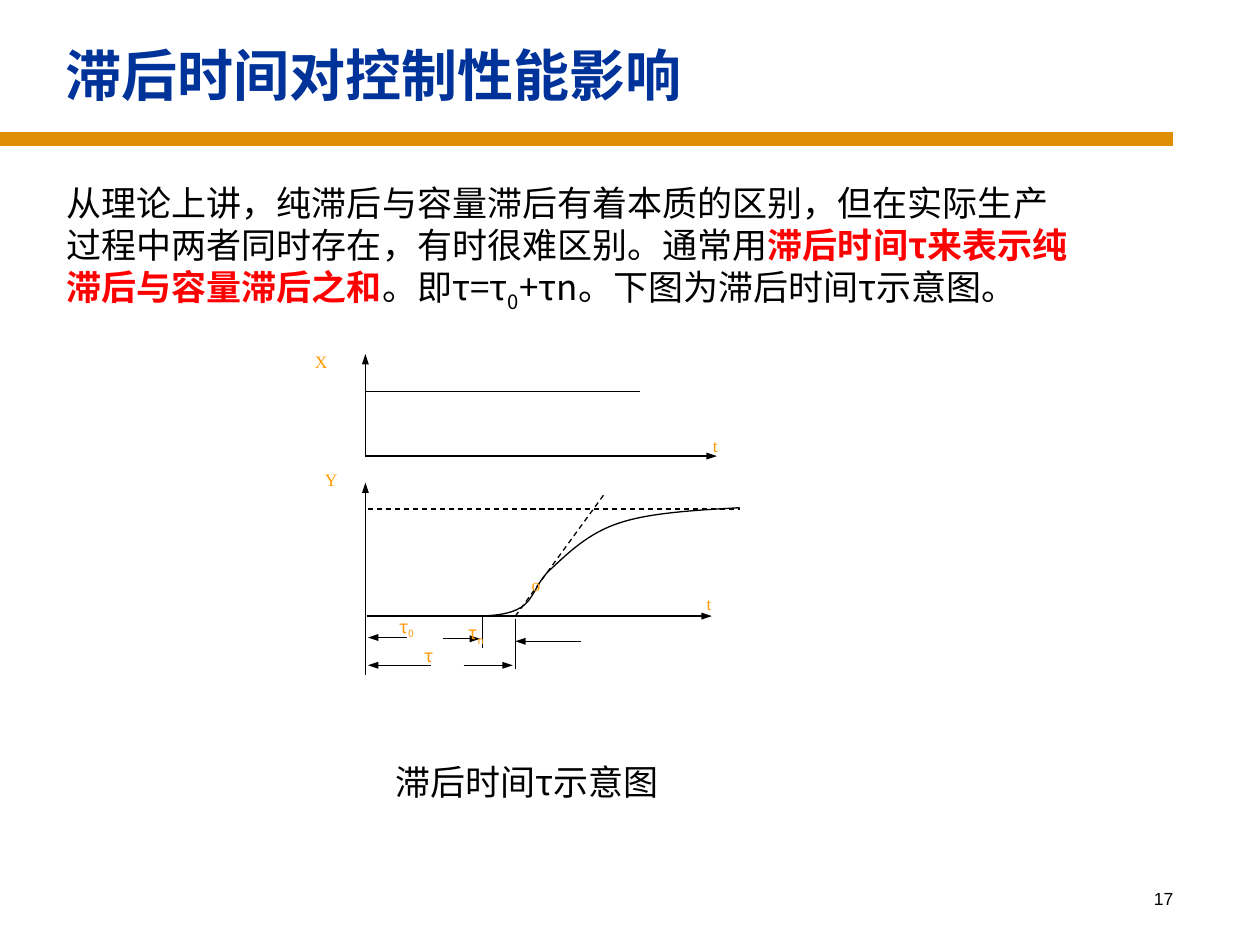
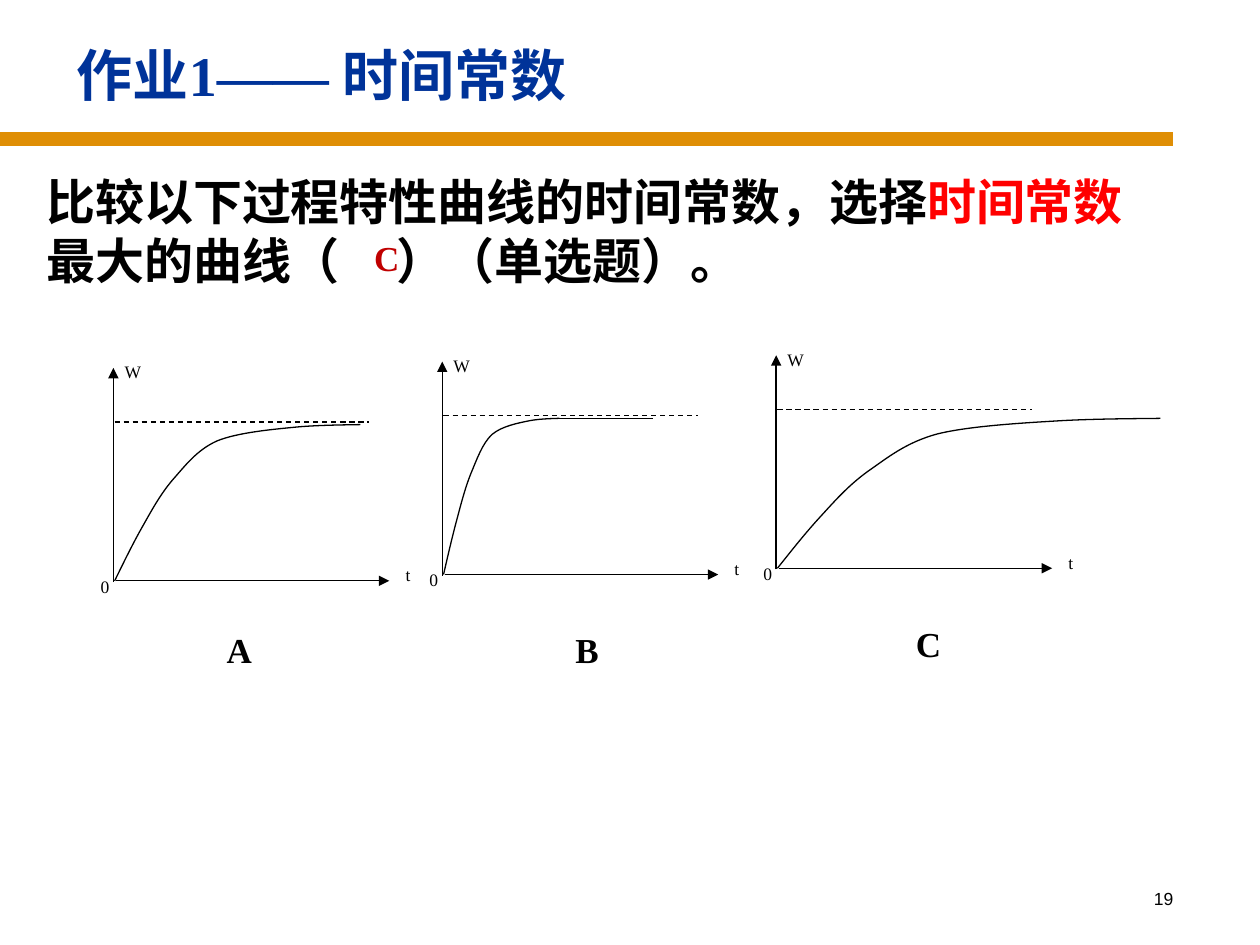
from pptx import Presentation
from pptx.dml.color import RGBColor
from pptx.enum.dml import MSO_LINE
from pptx.enum.shapes import MSO_CONNECTOR
from pptx.enum.text import MSO_ANCHOR, PP_ALIGN
from pptx.oxml.ns import qn
from pptx.util import Inches, Pt
from lxml import etree

BLACK = RGBColor(0x00, 0x00, 0x00)
RED = RGBColor(0xFF, 0x00, 0x00)
DARK_RED = RGBColor(0xC0, 0x00, 0x00)
NAVY = RGBColor(0x00, 0x33, 0x99)
ORANGE = RGBColor(0xFF, 0x99, 0x00)
BAND = RGBColor(0xDF, 0x8E, 0x05)

SERIF = "Times New Roman"
SANS = "Arial"
CJK = "Noto Sans CJK SC"

LAG_CURVE = [
    (3.7, 4.89), (3.85, 4.89), (4.01, 4.89), (4.12, 4.83),
    (4.24, 4.77), (4.25, 4.62), (4.38, 4.51),
    (4.51, 4.39), (4.67, 4.23), (4.92, 4.15),
    (5.16, 4.07), (5.52, 4.05), (5.87, 4.03),
]
RESPONSE_PERCENT = [
    (0, 0), (3.5, 11.2), (7, 22.5), (10.8, 33.2),
    (14.6, 43.7), (18.2, 54.6), (23.6, 64.6),
    (28.6, 73.4), (33.5, 83.9), (41.8, 89.6),
    (50.3, 95), (64.7, 97), (74.6, 98.5),
    (84.2, 99.8), (95.6, 99.8), (100, 100),
]


def add_text(page, spans, left, top, width, height, size, font=SERIF, color=BLACK,
             bold=False, align=PP_ALIGN.LEFT, before=0, anchor=MSO_ANCHOR.TOP):
    box = page.shapes.add_textbox(Inches(left), Inches(top), Inches(width), Inches(height))
    frame = box.text_frame
    frame.word_wrap = True
    frame.vertical_anchor = anchor
    para = frame.paragraphs[0]
    para.alignment = align
    para.space_before = Pt(before)
    if isinstance(spans, str):
        spans = [(spans, {})]
    for text, style in spans:
        span = para.add_run()
        span.text = text
        span.font.size = Pt(size)
        span.font.name = font
        span.font.bold = style.get("bold", bold)
        span.font.color.rgb = style.get("color", color)
        properties = span.font._element
        for name in ("baseline", "spc"):
            if name in style:
                properties.set(name, str(style[name]))
        latin = properties.find(qn("a:latin"))
        latin.addnext(etree.Element(qn("a:ea"), typeface=CJK))


def add_line(page, start, end, color=BLACK, width=0.75, dashed=False, head=None):
    line = page.shapes.add_connector(
        MSO_CONNECTOR.STRAIGHT, *(Inches(value) for value in (*start, *end)))
    line.line.color.rgb = color
    line.line.width = Pt(width)
    if dashed:
        line.line.dash_style = MSO_LINE.DASH
    if head:
        etree.SubElement(line.line._get_or_add_ln(), qn("a:tailEnd"),
                         type="triangle", w=head, len="med")
    etree.SubElement(line._element.spPr, qn("a:effectLst"))


def add_curve(page, controls):
    points = [(Inches(x), Inches(y)) for x, y in controls]
    builder = page.shapes.build_freeform(*points[0])
    builder.add_line_segments(points[1:], close=False)
    curve = builder.convert_to_shape()
    segments = list(curve._element.iter(qn("a:lnTo")))
    for first in range(0, len(segments), 3):
        bezier = etree.Element(qn("a:cubicBezTo"))
        segments[first].addprevious(bezier)
        for segment in segments[first:first + 3]:
            bezier.append(segment[0])
            segment.getparent().remove(segment)
    curve.shadow.inherit = False
    curve.fill.background()
    curve.line.color.rgb = BLACK
    curve.line.width = Pt(0.75)


def add_page(deck, title, number, indent=0):
    page = deck.slides.add_slide(deck.slide_layouts[6])
    add_line(page, (0, 1.1), (9.31, 1.1), BAND, 8)
    add_text(page, number, 7.33, 7, 2.08, 0.5, 10, SANS, align=PP_ALIGN.RIGHT)
    add_text(page, title, 0.42 + indent, 0.17, 9 - indent, 0.84, 32, color=NAVY,
             bold=True, anchor=MSO_ANCHOR.MIDDLE)
    return page


def add_axis_label(page, spans, left, top, color=BLACK, font=SERIF):
    add_text(page, spans, left, top, 0.68, 0.6, 10, font, color, before=2.5)


def add_letter(page, letter, left, top, color=BLACK):
    add_text(page, letter, left, top, 0.54, 0.44, 20, color=color, bold=True,
             align=PP_ALIGN.CENTER, before=12.5)


def add_lag_diagram(page):
    arrows = [
        ((2.9, 3.63), (2.9, 2.81)), ((2.9, 3.62), (5.69, 3.62)),
        ((2.9, 4.92), (2.9, 3.83)), ((2.91, 4.89), (5.65, 4.89)),
        ((4.61, 5.09), (4.09, 5.09)), ((3.52, 5.07), (3.81, 5.07)),
        ((3.23, 5.06), (2.92, 5.06)), ((3.68, 5.28), (4.07, 5.28)),
        ((3.42, 5.28), (2.92, 5.28)),
    ]
    solid_lines = [
        ((2.9, 3.11), (5.08, 3.11)), ((2.9, 4.89), (2.9, 5.36)),
        ((3.83, 4.89), (3.83, 5.14)), ((4.09, 4.91), (4.09, 5.31)),
    ]
    dashed_lines = [((4.09, 4.89), (4.79, 3.93)), ((2.92, 4.04), (5.87, 4.04))]
    for start, end in arrows:
        add_line(page, start, end, head="sm")
    for start, end in solid_lines:
        add_line(page, start, end)
    for start, end in dashed_lines:
        add_line(page, start, end, dashed=True)
    add_curve(page, LAG_CURVE)

    for text, left, top in [("X", 2.4, 2.74), ("Y", 2.48, 3.67), ("o", 4.12, 4.51),
                            ("t", 5.56, 3.4), ("t", 5.51, 4.66)]:
        add_axis_label(page, text, left, top, ORANGE)
    subscript = {"baseline": -25000}
    for spans, left, top in [("τ", 3.27, 5.07),
                             ([("τ", {}), ("0", subscript)], 3.07, 4.84),
                             ([("τ", {}), ("n", subscript)], 3.62, 4.89)]:
        add_axis_label(page, spans, left, top, ORANGE, CJK)


def add_response_chart(page, x, y, width, height):
    add_line(page, (x + 0.01, y), (x + 2.18, y), head="med")
    add_line(page, (x - 0.01, y + 0.01), (x - 0.01, y - 1.69), head="med")
    add_line(page, (x, y - 1.26), (x + 2.02, y - 1.26), dashed=True)
    add_curve(page, [(x + width * across / 100, y - height * up / 100)
                     for across, up in RESPONSE_PERCENT])
    add_axis_label(page, "W", x - 0.02, y - 1.79)
    add_axis_label(page, "t", x + 2.21, y - 0.18)
    add_axis_label(page, "0", x - 0.21, y - 0.09)


def build_lag_page(deck):
    page = add_page(deck, "滞后时间对控制性能影响", "17")
    add_text(page, [
        ("从理论上讲，纯滞后与容量滞后有着本质的区别，但在实际生产过程中两者同时存在，"
         "有时很难区别。通常用", {}),
        ("滞后时间τ来表示纯滞后与容量滞后之和", {"color": RED, "bold": True}),
        ("。即τ=τ", {}),
        ("0", {"baseline": -25000}),
        ("+τn。下图为滞后时间τ示意图。", {}),
    ], 0.43, 1.39, 8.2, 1.15, 20, CJK)
    add_lag_diagram(page)
    add_text(page, "滞后时间τ示意图", 3.04, 5.99, 2.59, 0.44, 20, CJK, before=5)


def build_homework_page(deck):
    page = add_page(deck, "作业1—— 时间常数", "19", indent=0.09)
    add_text(page, [
        ("比较以下过程特性曲线的时间常数，选择", {}),
        ("时间常数", {"color": RED}),
        ("最大的曲线（", {}),
        (" ", {"spc": 2600}),
        ("）（单选题）。", {}),
    ], 0.27, 1.31, 8.94, 1.04, 28, SANS, bold=True, before=17.5)
    add_response_chart(page, 0.91, 4.61, 1.95, 1.24)
    add_response_chart(page, 3.52, 4.56, 0.92, 1.24)
    add_response_chart(page, 6.17, 4.51, 3.04, 1.19)
    add_line(page, (4.39, 3.32), (5.18, 3.32))
    for letter, left, top in [("A", 1.63, 4.94), ("B", 4.39, 4.94), ("C", 7.1, 4.89)]:
        add_letter(page, letter, left, top)
    add_letter(page, "C", 2.8, 1.83, DARK_RED)


def main():
    deck = Presentation()
    deck.slide_width = Inches(10)
    deck.slide_height = Inches(7.5)
    build_lag_page(deck)
    build_homework_page(deck)
    deck.save("out.pptx")


if __name__ == "__main__":
    main()
